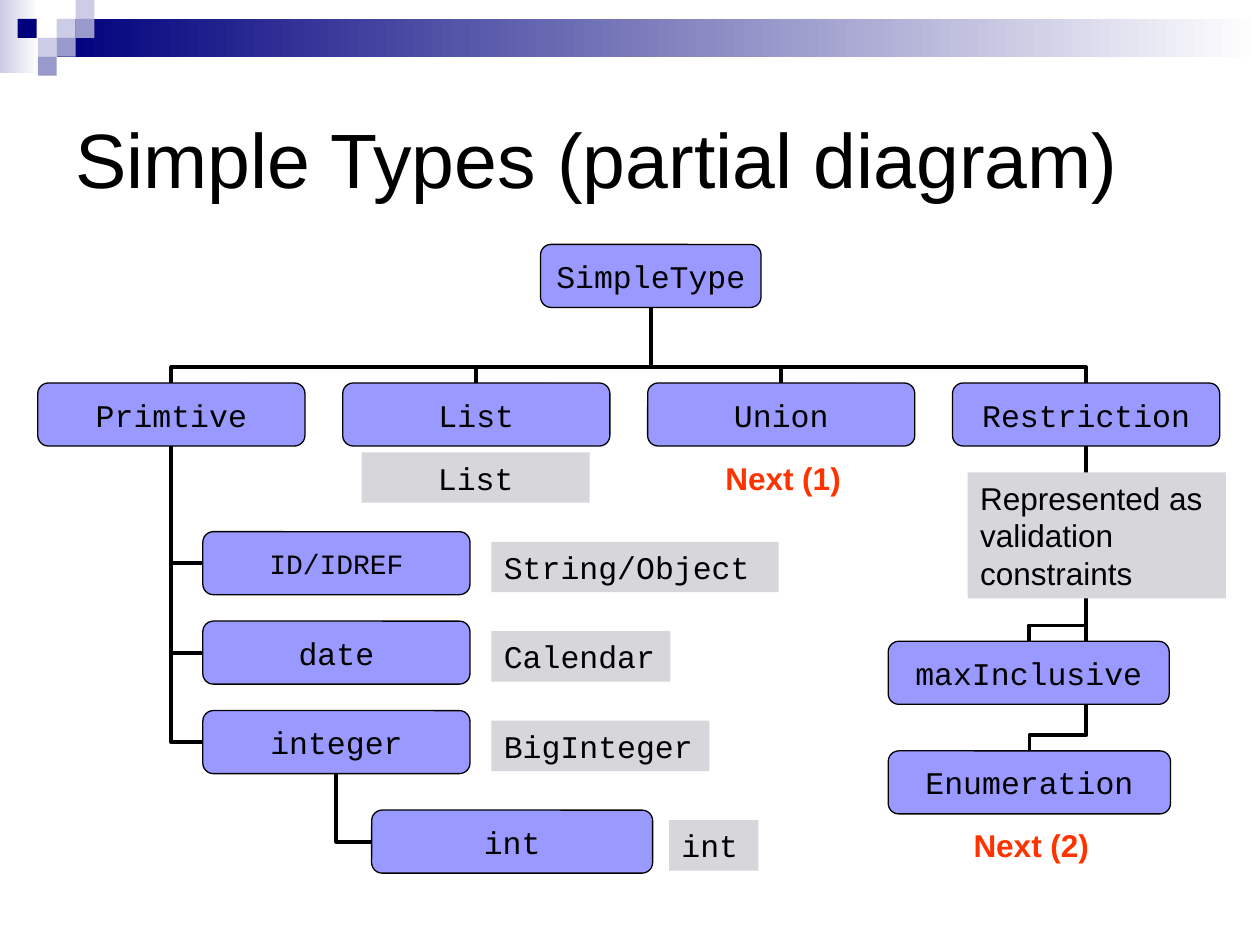
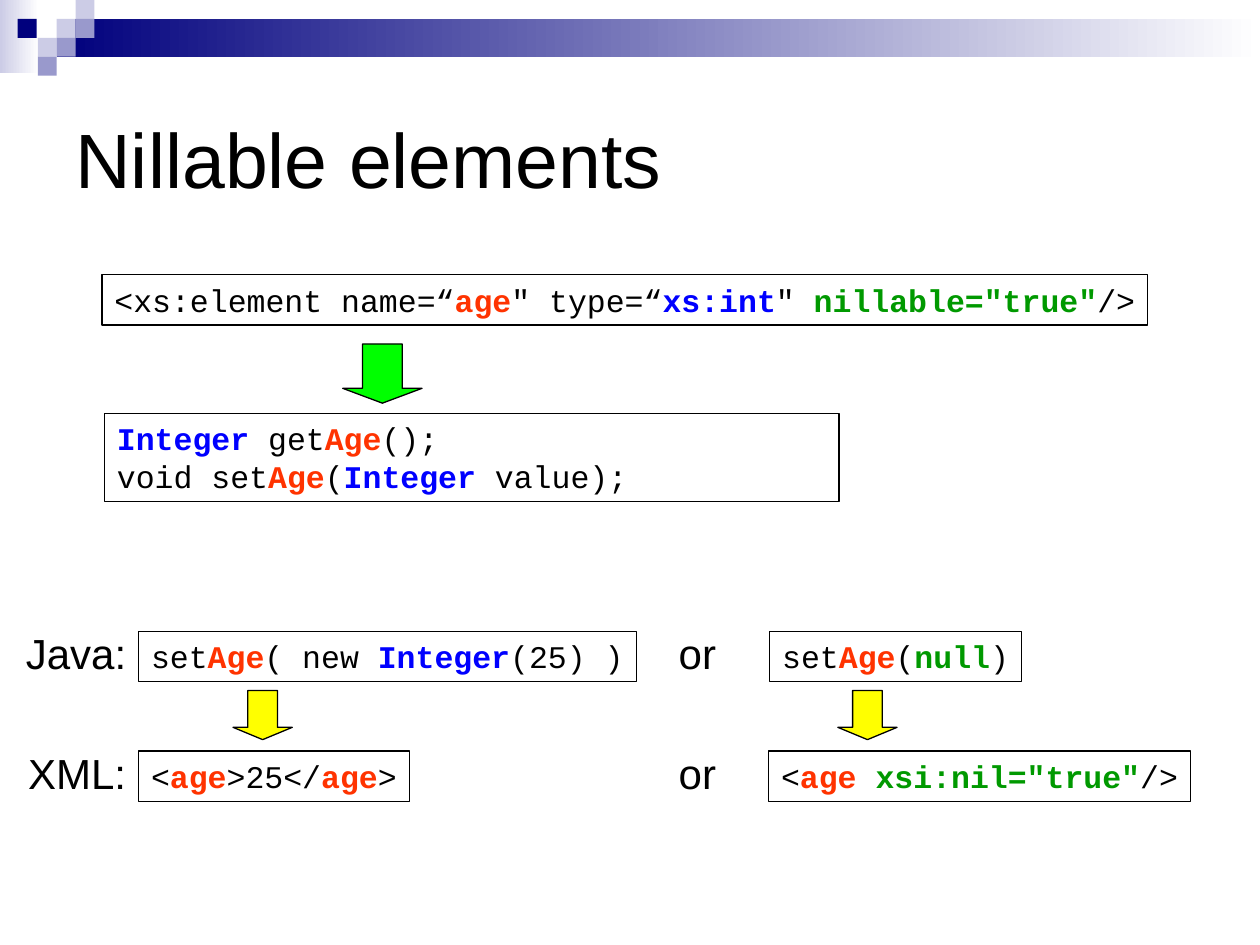
from pptx import Presentation
from pptx.dml.color import RGBColor
from pptx.enum.shapes import MSO_CONNECTOR, MSO_SHAPE
from pptx.enum.text import MSO_ANCHOR, PP_ALIGN
from pptx.oxml.ns import qn
from pptx.util import Pt
from lxml import etree

PX = 9144  # EMU per px, 100 px to the inch
RECT, ROUND, DOWN = MSO_SHAPE.RECTANGLE, MSO_SHAPE.ROUNDED_RECTANGLE, MSO_SHAPE.DOWN_ARROW
LEFT, CENTER, RIGHT = PP_ALIGN.LEFT, PP_ALIGN.CENTER, PP_ALIGN.RIGHT
TOP, MIDDLE = MSO_ANCHOR.TOP, MSO_ANCHOR.MIDDLE
ELBOW = MSO_CONNECTOR.ELBOW
SANS, MONO = "Arial", "Courier New"
COLORS = {
    "black": "000000", "white": "FFFFFF", "navy": "00007D", "mist": "CCCCE6",
    "slate": "9999CC", "node": "9999FF", "grey": "D7D7DB", "red": "FF3300",
    "blue": "0000FF", "green": "009900", "lime": "00FF00", "yellow": "FFFF00",
}
RGB = {name: RGBColor.from_string(value) for name, value in COLORS.items()}


def add_box(s, kind, at, fill=None, line=None):
    """Add a preset shape; two fill colours give a left-to-right gradient."""
    sp = s.shapes.add_shape(kind, *[v * PX for v in at])
    sp.shadow.inherit = False
    if isinstance(fill, tuple):
        sp.fill.gradient()
        sp.fill.gradient_angle = 0
        for stop, color in zip(sp.fill.gradient_stops, fill):
            stop.color.rgb = RGB[color]
    elif fill:
        sp.fill.solid()
        sp.fill.fore_color.rgb = RGB[fill]
    else:
        sp.fill.background()
    if line:
        sp.line.color.rgb = RGB[line]
        sp.line.width = Pt(0.75)
    else:
        sp.line.fill.background()
    return sp


def write(sp, lines, size=18, font=MONO, align=LEFT, anchor=TOP, wrap=False):
    """Write lines of (text, colour) runs; coloured runs are bold."""
    tf = sp.text_frame
    tf.word_wrap = wrap
    tf.vertical_anchor = anchor
    for i, runs in enumerate(lines):
        p = tf.paragraphs[0] if i == 0 else tf.add_paragraph()
        p.alignment = align
        for text, color in runs:
            r = p.add_run()
            r.text = text
            r.font.name = font
            r.font.size = Pt(size)
            r.font.bold = color != "black"
            r.font.color.rgb = RGB[color]


prs = Presentation()
prs.slide_width, prs.slide_height = 1000 * PX, 750 * PX

# Shared header and title
slides = []
for title in ("Simple Types (partial diagram)", "Nillable elements"):
    s = prs.slides.add_slide(prs.slide_layouts[6])
    slides.append(s)
    add_box(s, RECT, (0, 0, 31, 58), ("mist", "white"))
    add_box(s, RECT, (45, 15, 955, 30), ("navy", "white"))
    for x, y, color in ((45, 15, "mist"), (60, 0, "mist"), (60, 15, "slate"),
                        (30, 30, "mist"), (14, 15, "navy"), (45, 30, "slate"),
                        (30, 45, "slate")):
        add_box(s, RECT, (x, y, 15, 15), color)
    sp = s.shapes.add_textbox(50 * PX, 50 * PX, 900 * PX, 150 * PX)
    write(sp, [[(title, "black")]], 44, SANS, anchor=MIDDLE, wrap=True)

# Slide 1: type tree, each node linked to its parent from its top (0) or left (1)
s = slides[0]
nodes = {}
tree = [("SimpleType", 429, 194, 175, None, None)]
for i, name in enumerate(("Primtive", "List", "Union", "Restriction")):
    tree.append((name, 30 + 242 * i, 304, 212, "SimpleType", 0))
for i, name in enumerate(("ID/IDREF", "date", "integer")):
    tree.append((name, 161, 422 + 71 * i, 212, "Primtive", 1))
tree += [("int", 295, 643, 223, "integer", 1),
         ("Enumeration", 705, 596, 224, "Restriction", 0),
         ("maxInclusive", 705, 509, 223, "Restriction", 0)]

for name, x, y, w, parent, side in tree:
    sp = nodes[name] = add_box(s, ROUND, (x, y, w, 50), "node", "black")
    write(sp, [[(name, "black")]], 16 if name == "ID/IDREF" else 18,
          align=CENTER, anchor=MIDDLE)
    if parent is None:
        continue
    top = nodes[parent]
    c = s.shapes.add_connector(ELBOW, 0, 0, 0, 0)
    c.begin_connect(sp, side)
    c.end_connect(top, 2)
    c.line.color.rgb = RGB["black"]
    c.line.width = Pt(2.25)
    spPr = c._element.spPr
    etree.SubElement(spPr, qn("a:effectLst"))
    x0, y0 = top.left + top.width // 2, top.top + top.height
    x1 = sp.left + (sp.width // 2 if side == 0 else 0)
    y1 = sp.top + (sp.height // 2 if side == 1 else 0)
    dx, dy = abs(x1 - x0), y1 - y0
    geom = spPr.find(qn("a:prstGeom"))
    if side == 0:  # up, across, up: a turned three-part elbow
        rot, flip_h, flip_v = (90, 1, 1) if x1 < x0 else (270, 0, 1)
        width, height = dy, dx
        etree.SubElement(geom.find(qn("a:avLst")), qn("a:gd"), name="adj1",
                         fmla=f"val {round(12.5 * PX / dy * 100000)}")
    else:  # left, then up: a single corner
        rot, flip_h, flip_v = 180, 0, 0
        width, height = dx, dy
        geom.set("prst", "bentConnector2")
    c.left, c.top = (x0 + x1 - width) // 2, (y0 + y1 - height) // 2
    c.width, c.height = width, height
    xfrm = spPr.find(qn("a:xfrm"))
    for key, value in (("rot", rot * 60000), ("flipH", flip_h), ("flipV", flip_v)):
        xfrm.set(key, str(value))

# Slide 1: Java types and notes beside the nodes
for text, at, align in (("Calendar", (390, 501, 142, 40), LEFT),
                        ("BigInteger", (390, 572, 173, 40), LEFT),
                        ("int", (531, 651, 71, 40), LEFT),
                        ("String/Object", (390, 430, 228, 40), LEFT),
                        ("List", (287, 359, 181, 40), CENTER)):
    write(add_box(s, RECT, at, "grey"), [[(text, "black")]], align=align)
write(add_box(s, RECT, (768, 375, 205, 100), "grey"),
      [[("Represented as validation constraints", "black")]], font=SANS, wrap=True)
for text, x, y in (("Next (1)", 531, 359), ("Next (2)", 728, 651)):
    sp = s.shapes.add_textbox(x * PX, y * PX, 181 * PX, 40 * PX)
    write(sp, [[(text, "red")]], font=SANS, align=CENTER, wrap=True)

# Slide 2: code boxes
s = slides[1]
code = [
    ((81, 218, 830, 40), [[
        ("<xs:element name=“", "black"), ("age", "red"), ("\" type=“", "black"),
        ("xs:int", "blue"), ("\" ", "black"), ("nillable=\"true\"", "green"),
        ("/>", "black")]]),
    ((83, 328, 583, 70), [
        [("Integer", "blue"), (" get", "black"), ("Age", "red"), ("();", "black")],
        [("void set", "black"), ("Age", "red"), ("(", "black"),
         ("Integer", "blue"), (" value);", "black")]]),
    ((110, 501, 395, 40), [[
        ("set", "black"), ("Age", "red"), ("( new ", "black"),
        ("Integer", "blue"), ("(25) )", "black")]]),
    ((611, 501, 200, 40), [[
        ("set", "black"), ("Age", "red"), ("(", "black"), ("null", "green"),
        (")", "black")]]),
    ((110, 596, 215, 40), [[
        ("<", "black"), ("age", "red"), (">25</", "black"), ("age", "red"),
        (">", "black")]]),
    ((610, 596, 335, 40), [[
        ("<", "black"), ("age ", "red"), ("xsi:nil=\"true\"", "green"),
        ("/>", "black")]]),
]
for at, lines in code:
    write(add_box(s, RECT, at, line="black"), lines)

# Slide 2: row labels
for label, y in (("Java:", 493), ("XML:", 588)):
    for text, x, w, align in ((label, 0, 110, RIGHT), ("or", 500, 107, CENTER)):
        sp = s.shapes.add_textbox(x * PX, y * PX, w * PX, 50 * PX)
        write(sp, [[(text, "black")]], 24, SANS, align, wrap=True)

# Slide 2: arrows
for at, color in (((272, 273, 63, 47), "lime"), ((185, 548, 47, 39), "yellow"),
                  ((665, 548, 47, 39), "yellow")):
    add_box(s, DOWN, at, color, "black").adjustments[1] = 0.25

prs.save("out.pptx")
